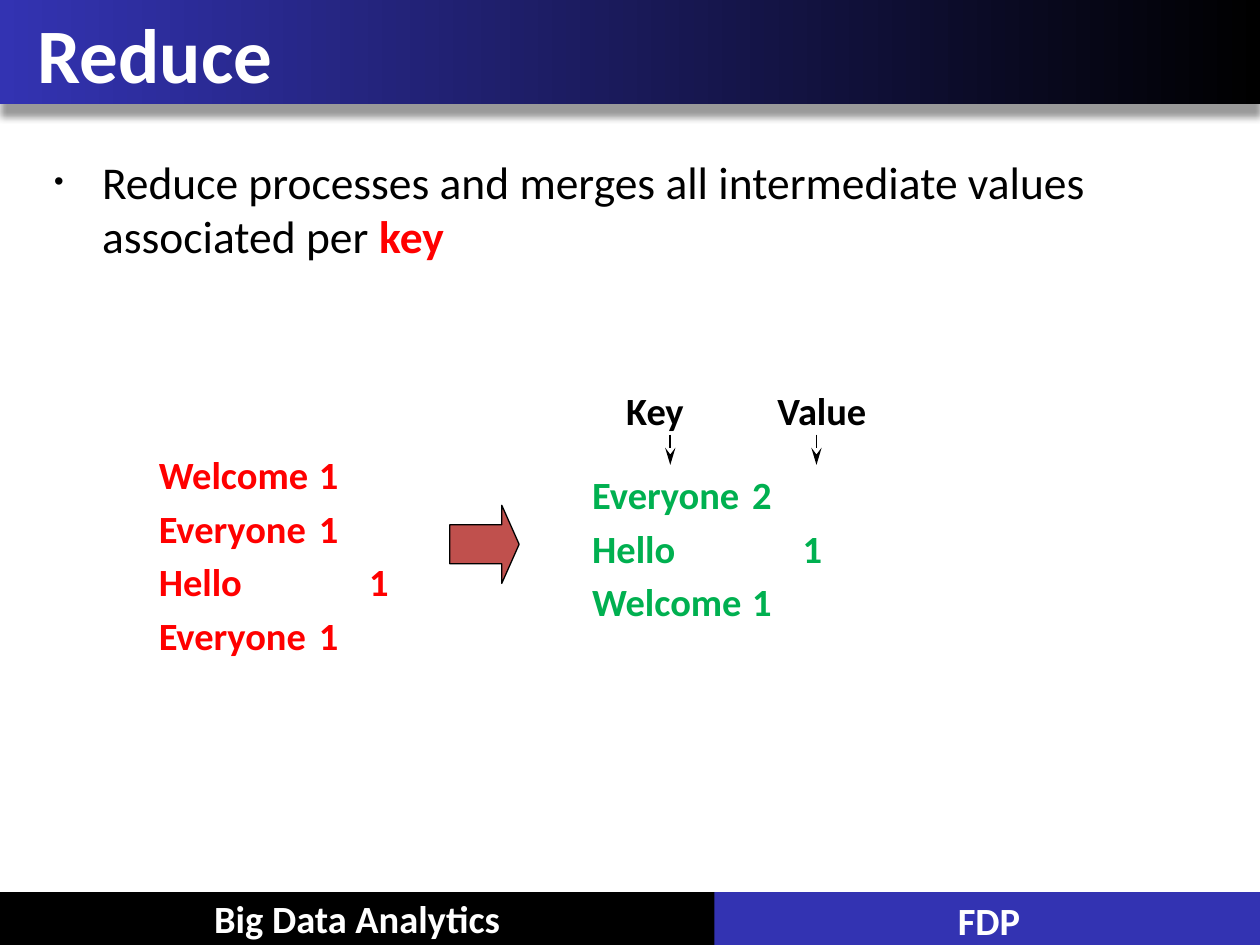
"""Build the Reduce slide of a big data analytics lecture."""
import pptx
import pptx.dml.color
import pptx.enum.shapes
import pptx.enum.text
import pptx.oxml
import pptx.oxml.ns
import pptx.util

Inches = pptx.util.Inches
Pt = pptx.util.Pt
MSO_SHAPE = pptx.enum.shapes.MSO_SHAPE
ALIGN = pptx.enum.text.PP_ALIGN
ANCHOR = pptx.enum.text.MSO_ANCHOR
COLORS = {
    "black": "000000",
    "white": "FFFFFF",
    "blue": "3333B2",
    "red": "FF0000",
    "green": "00B050",
    "arrow": "C0504D",
}


def rgb(name):
    """Return the named colour."""
    return pptx.dml.color.RGBColor.from_string(COLORS[name])


def write(shape, text, size=22, color="black", bold=True, align=ALIGN.LEFT,
          anchor=ANCHOR.TOP, margins=(0.07, 0.04), space_before=0, tab=None,
          same_paragraph=False):
    """Write text as a new paragraph, or as a further run of the last one."""
    frame = shape.text_frame
    frame.word_wrap = True
    frame.auto_size = pptx.enum.text.MSO_AUTO_SIZE.NONE
    frame.vertical_anchor = anchor
    frame.margin_left = Inches(margins[0])
    frame.margin_top = frame.margin_bottom = Inches(margins[1])
    frame.margin_right = Inches(0.07)
    paragraph = frame.paragraphs[-1]
    if paragraph.runs and not same_paragraph:
        paragraph = frame.add_paragraph()
    paragraph.alignment = align
    paragraph.space_before = Pt(space_before)
    if tab:
        properties = paragraph._p.get_or_add_pPr()
        tabs = properties.makeelement(pptx.oxml.ns.qn("a:tabLst"), {})
        tabs.append(tabs.makeelement(
            pptx.oxml.ns.qn("a:tab"), {"pos": str(Inches(tab)), "algn": "l"}))
        properties.append(tabs)
    run = paragraph.add_run()
    run.text = text
    run.font.name = "Calibri"
    run.font.size = Pt(size)
    run.font.bold = bold
    run.font.color.rgb = rgb(color)
    return paragraph


presentation = pptx.Presentation()
presentation.slide_width = Inches(10)
presentation.slide_height = Inches(7.5)
slide = presentation.slides.add_slide(presentation.slide_layouts[1])
shapes = slide.shapes
title, body = slide.placeholders
namespace = pptx.oxml.ns.nsdecls("a")

bands = []
for left, top, width, height, color in (
    (5, 7.08, 5, 0.42, "blue"),
    (0, 0, 10, 0.83, "blue"),
    (0, 7.08, 5.67, 0.42, "black"),
):
    band = shapes.add_shape(MSO_SHAPE.RECTANGLE, Inches(left), Inches(top),
                            Inches(width), Inches(height))
    band.shadow.inherit = False
    band.fill.solid()
    band.fill.fore_color.rgb = rgb(color)
    band.line.fill.background()
    title.element.addprevious(band.element)
    bands.append(band)
footer, header, course = bands

header.fill.gradient()
header.fill.gradient_angle = 180
for stop, color in zip(header.fill.gradient_stops, ("black", "blue")):
    stop.color.rgb = rgb(color)
effects = header.element.spPr.find(pptx.oxml.ns.qn("a:effectLst"))
effects.append(pptx.oxml.parse_xml(
    f'<a:outerShdw {namespace} blurRad="{Pt(4)}" dist="{Pt(7)}" dir="5400000" '
    f'algn="t" rotWithShape="0"><a:srgbClr val="{COLORS["black"]}">'
    '<a:alpha val="40000"/></a:srgbClr></a:outerShdw>'))

title.left, title.top, title.width, title.height = map(Inches, (0, 0, 9.75, 0.83))
write(title, "Reduce", size=44, color="white", anchor=ANCHOR.MIDDLE,
      margins=(0.3, 0.05))

body.left, body.top, body.width, body.height = map(Inches, (0.33, 1.17, 9.17, 5.53))
paragraph = write(
    body, "Reduce processes and merges all intermediate values associated per",
    size=26, bold=False, margins=(0.1, 0.05))
properties = paragraph._p.get_or_add_pPr()
properties.set("marL", str(Inches(0.38)))
properties.set("indent", str(-Inches(0.38)))
for bullet in ('<a:buSzPct {} val="60000"/>', '<a:buChar {} char="•"/>'):
    properties.append(pptx.oxml.parse_xml(bullet.format(namespace)))
write(body, " key", size=26, color="red", margins=(0.1, 0.05), same_paragraph=True)

for left, top, height, color, pairs in (
    (0.84, 3.54, 1.8, "red",
     (("Welcome", 1), ("Everyone", 1), ("Hello", 1), ("Everyone", 1))),
    (4.28, 3.7, 1.41, "green",
     (("Everyone", 2), ("Hello", 1), ("Welcome", 1))),
):
    box = shapes.add_textbox(Inches(left), Inches(top), Inches(2.89), Inches(height))
    for index, (key, value) in enumerate(pairs):
        write(box, f"{key}\t{value}", color=color, margins=(0.42, 0.04),
              space_before=4.2 if index else 0,
              tab=1.67 if key == "Hello" else 1.27)

arrow = shapes.add_shape(MSO_SHAPE.RIGHT_ARROW, Inches(3.57), Inches(4.01),
                         Inches(0.55), Inches(0.62))
arrow.adjustments[0] = 0.5
arrow.adjustments[1] = 0.25
arrow.shadow.inherit = False
arrow.fill.solid()
arrow.fill.fore_color.rgb = rgb("arrow")
arrow.line.color.rgb = rgb("black")
arrow.line.width = Pt(0.75)

for label, left, width, center in (("Key", 4.9, 0.78, 5.32), ("Value", 6.1, 1.11, 6.48)):
    box = shapes.add_textbox(Inches(left), Inches(3.03), Inches(width), Inches(0.44))
    write(box, label)
    pointer = shapes.add_connector(
        pptx.enum.shapes.MSO_CONNECTOR.STRAIGHT,
        Inches(center), Inches(3.45), Inches(center), Inches(3.69))
    pointer.line.color.rgb = rgb("black")
    pointer.line.width = Pt(1)
    pointer.line._get_or_add_ln().append(
        pptx.oxml.parse_xml(f'<a:tailEnd {namespace} type="stealth" len="lg"/>'))
    pointer.element.spPr.append(pptx.oxml.parse_xml(f"<a:effectLst {namespace}/>"))

event = shapes.add_textbox(Inches(5.7), Inches(7.1), Inches(4.3), Inches(0.4))
for shape, text in ((event, "FDP"), (course, "Big Data Analytics")):
    write(shape, text, color="white", align=ALIGN.CENTER, anchor=ANCHOR.MIDDLE)

presentation.save("out.pptx")
